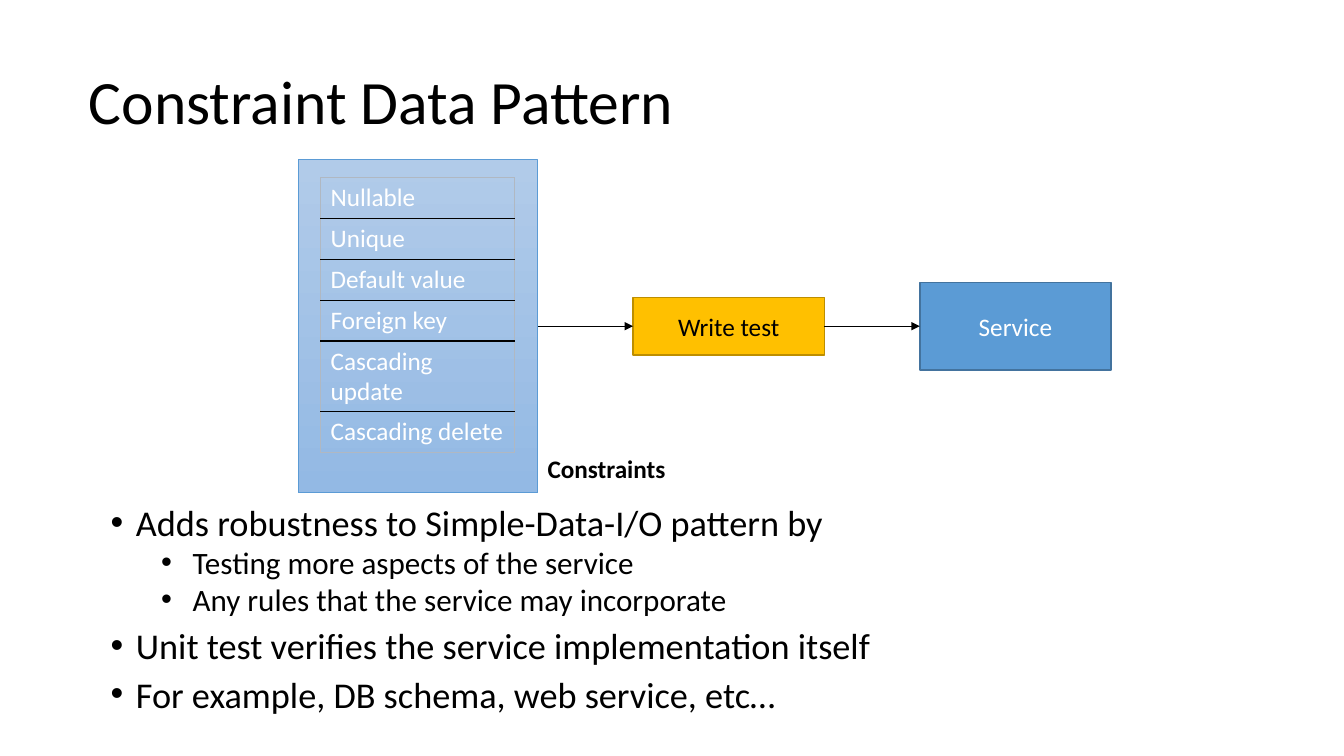
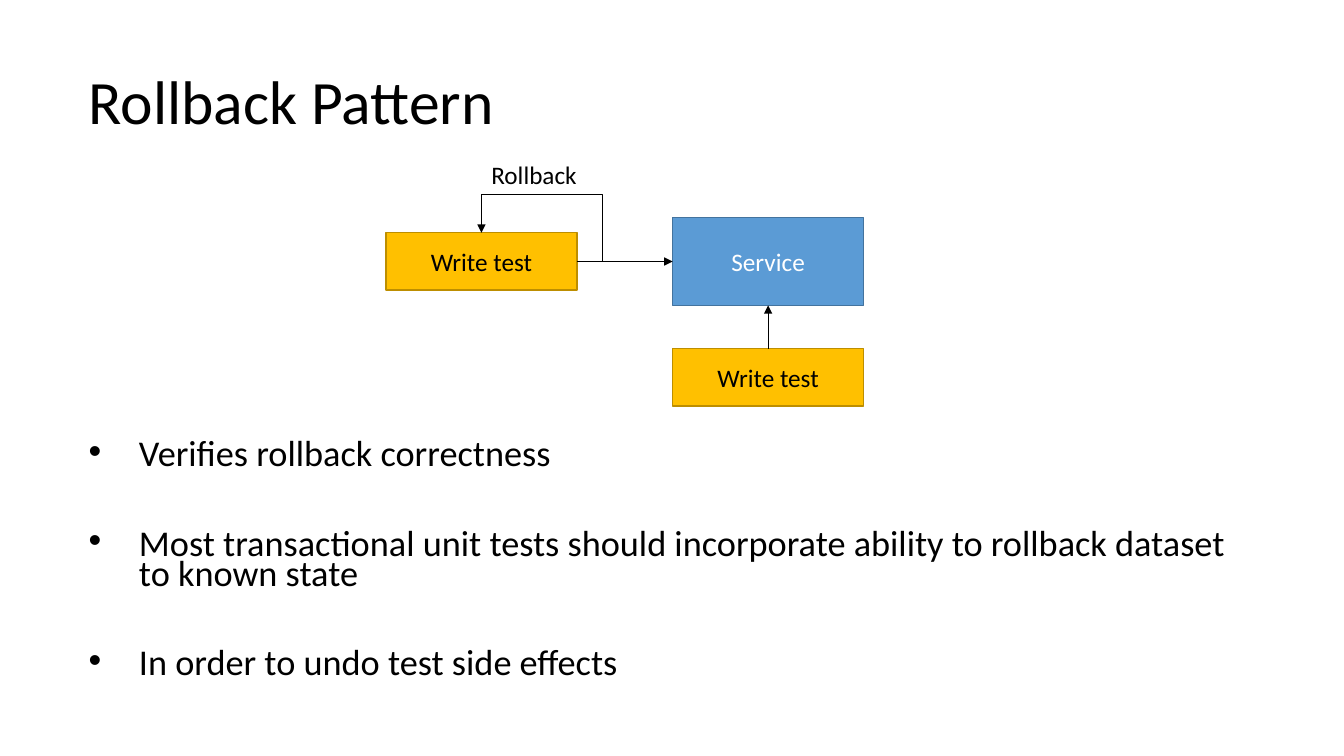
from lxml.etree import SubElement
from pptx import Presentation
from pptx.dml.color import RGBColor
from pptx.enum.shapes import MSO_CONNECTOR, MSO_SHAPE
from pptx.enum.text import MSO_ANCHOR, MSO_AUTO_SIZE, PP_ALIGN
from pptx.oxml.ns import qn
from pptx.util import Pt

BLACK = RGBColor(0x00, 0x00, 0x00)
WHITE = RGBColor(0xFF, 0xFF, 0xFF)
GOLD = RGBColor(0xFF, 0xC0, 0x00)
GOLD_EDGE = RGBColor(0xBD, 0x8E, 0x00)
BLUE = RGBColor(0x5B, 0x9B, 0xD5)
BLUE_EDGE = RGBColor(0x43, 0x73, 0x9E)
PANEL_TOP = RGBColor(0xB1, 0xCB, 0xE9)
PANEL_BOTTOM = RGBColor(0x93, 0xB9, 0xE4)
TABLE_EDGE = RGBColor(0xB0, 0xB8, 0xC2)
FONT = "Calibri"

# Diagram measures, in points
BOX_WIDTH, GAP = 136.6, 68.2
STEP = BOX_WIDTH + GAP
TEST_HEIGHT, SERVICE_HEIGHT = 41, 62.6
PANEL_LEFT, PANEL_Y, PANEL_WIDTH, PANEL_HEIGHT = 213, 114, 171, 238
PANEL_RIGHT = PANEL_LEFT + PANEL_WIDTH
FLOW_Y = PANEL_Y + PANEL_HEIGHT / 2
TEST_X = PANEL_RIGHT + GAP
SERVICE_X = TEST_X + STEP
ROLLBACK_X, ROLLBACK_Y = 275.6, 186.8
ROLLBACK_SERVICE_X = ROLLBACK_X + STEP
SECOND_TEST_Y = 269.6
ROLLBACK_MIDDLE = ROLLBACK_X + BOX_WIDTH / 2
SERVICE_MIDDLE = ROLLBACK_SERVICE_X + BOX_WIDTH / 2
TURN_X, TURN_Y = 430, 139

# Box styles: height, fill, edge, text colour
BOXES = {
    "Write test": (TEST_HEIGHT, GOLD, GOLD_EDGE, BLACK),
    "Service": (SERVICE_HEIGHT, BLUE, BLUE_EDGE, WHITE),
}

# Bullet levels: left indent, hanging indent, size, line spacing, space before
MAIN = (18, 18, 25.9, 0.8, 10)
SUB = (58.5, 22.5, 22.2, 0.8, 5)
SPACED = (36, 36, 25.9, 0.7, 42)

PAGES = [
    {
        "title": "Constraint Data Pattern",
        "body": (72, 360, 800.6, 164),
        "bullets": [
            ("Adds robustness to Simple-Data-I/O pattern by", MAIN),
            ("Testing more aspects of the service", SUB),
            ("Any rules that the service may incorporate", SUB),
            ("Unit test verifies the service implementation itself", MAIN),
            ("For example, DB schema, web service, etc…", MAIN),
        ],
        "label": ("Constraints", PANEL_RIGHT, 320.4, 99.4, True),
        "boxes": [("Write test", TEST_X, FLOW_Y), ("Service", SERVICE_X, FLOW_Y)],
        "arrows": [
            [(PANEL_RIGHT, FLOW_Y), (TEST_X, FLOW_Y)],
            [(TEST_X + BOX_WIDTH, FLOW_Y), (SERVICE_X, FLOW_Y)],
        ],
    },
    {
        "title": "Rollback Pattern",
        "body": (56.2, 312.5, 832.3, 183),
        "bullets": [
            ("Verifies rollback correctness", SPACED),
            ("Most transactional unit tests should incorporate ability to "
             "rollback dataset to known state", SPACED),
            ("In order to undo test side effects", SPACED),
        ],
        "label": ("Rollback", ROLLBACK_MIDDLE, 110.2, 76.3, False),
        "boxes": [
            ("Write test", ROLLBACK_X, ROLLBACK_Y),
            ("Service", ROLLBACK_SERVICE_X, ROLLBACK_Y),
            ("Write test", ROLLBACK_SERVICE_X, SECOND_TEST_Y),
        ],
        "arrows": [
            [(ROLLBACK_X + BOX_WIDTH, ROLLBACK_Y), (ROLLBACK_SERVICE_X, ROLLBACK_Y)],
            [(SERVICE_MIDDLE, SECOND_TEST_Y - TEST_HEIGHT / 2),
             (SERVICE_MIDDLE, ROLLBACK_Y + SERVICE_HEIGHT / 2)],
            [(ROLLBACK_X + BOX_WIDTH, ROLLBACK_Y), (TURN_X, ROLLBACK_Y),
             (TURN_X, TURN_Y), (ROLLBACK_MIDDLE, TURN_Y),
             (ROLLBACK_MIDDLE, ROLLBACK_Y - TEST_HEIGHT / 2)],
        ],
    },
]


def write(para, text, size=18, colour=BLACK, bold=False):
    para.text = text
    para.font.name = FONT
    para.font.size = Pt(size)
    para.font.bold = bold
    para.font.color.rgb = colour


def add_arrow(page, points):
    corners = [(Pt(x), Pt(y)) for x, y in points]
    if len(corners) == 2:
        arrow = page.shapes.add_connector(MSO_CONNECTOR.STRAIGHT, *corners[0], *corners[1])
    else:
        outline = page.shapes.build_freeform(*corners[0])
        outline.add_line_segments(corners[1:], close=False)
        arrow = outline.convert_to_shape()
        arrow.fill.background()
    arrow.line.color.rgb = BLACK
    arrow.line.width = Pt(0.5)
    properties = arrow.element.spPr
    SubElement(properties.find(qn("a:ln")), qn("a:tailEnd"), type="triangle")
    SubElement(properties, qn("a:effectLst"))


deck = Presentation()
deck.slide_width, deck.slide_height = Pt(960), Pt(540)

for content in PAGES:
    # Title
    page = deck.slides.add_slide(deck.slide_layouts[5])
    title = page.shapes.title
    title.left, title.top, title.width, title.height = Pt(56.2), Pt(43.2), Pt(832.3), Pt(62.6)
    title.text_frame.auto_size = MSO_AUTO_SIZE.NONE
    title.text_frame.vertical_anchor = MSO_ANCHOR.MIDDLE
    para = title.text_frame.paragraphs[0]
    para.alignment = PP_ALIGN.LEFT
    para.line_spacing = 0.9
    write(para, content["title"], 44)

    # Bulleted text
    body = page.shapes.add_textbox(*map(Pt, content["body"])).text_frame
    body.word_wrap = True
    for index, (text, level) in enumerate(content["bullets"]):
        left, hanging, size, spacing, before = level
        para = body.add_paragraph() if index else body.paragraphs[0]
        properties = para._p.get_or_add_pPr()
        properties.set("marL", str(Pt(left)))
        properties.set("indent", str(-Pt(hanging)))
        SubElement(properties, qn("a:buFont"), typeface="Arial")
        SubElement(properties, qn("a:buChar"), char="•")
        para.line_spacing = spacing
        para.space_before = Pt(before if index else 0)
        write(para, text, size)

    # Diagram label
    text, left, top, width, bold = content["label"]
    label = page.shapes.add_textbox(Pt(left), Pt(top), Pt(width), Pt(29)).text_frame
    label.word_wrap = False
    write(label.paragraphs[0], text, bold=bold)

    # Diagram boxes, centred on their flow line
    for text, left, middle in content["boxes"]:
        height, fill, edge, colour = BOXES[text]
        box = page.shapes.add_shape(MSO_SHAPE.RECTANGLE, Pt(left), Pt(middle - height / 2),
                                    Pt(BOX_WIDTH), Pt(height))
        box.shadow.inherit = False
        box.fill.solid()
        box.fill.fore_color.rgb = fill
        box.line.color.rgb = edge
        box.line.width = Pt(1)
        box.text_frame.vertical_anchor = MSO_ANCHOR.MIDDLE
        para = box.text_frame.paragraphs[0]
        para.alignment = PP_ALIGN.CENTER
        write(para, text, colour=colour)

    for points in content["arrows"]:
        add_arrow(page, points)

# Constraints panel on the first slide
page = deck.slides[0]
panel = page.shapes.add_shape(MSO_SHAPE.RECTANGLE, Pt(PANEL_LEFT), Pt(PANEL_Y),
                              Pt(PANEL_WIDTH), Pt(PANEL_HEIGHT))
panel.shadow.inherit = False
panel.fill.gradient()
panel.fill.gradient_angle = 270
for stop, colour in zip(panel.fill.gradient_stops, (PANEL_TOP, PANEL_BOTTOM)):
    stop.color.rgb = colour
panel.line.color.rgb = BLUE
panel.line.width = Pt(0.5)

# Constraints table, with black rules between its rows
constraints = ["Nullable", "Unique", "Default value", "Foreign key",
               "Cascading update", "Cascading delete"]
last = len(constraints) - 1
table = page.shapes.add_table(len(constraints), 1, Pt(229), Pt(126.8),
                              Pt(138.4), Pt(29.2 * len(constraints))).table
table.first_row = False
table.horz_banding = False
for index, text in enumerate(constraints):
    cell = table.cell(index, 0)
    edges = {
        "a:lnL": TABLE_EDGE,
        "a:lnR": TABLE_EDGE,
        "a:lnT": BLACK if index else TABLE_EDGE,
        "a:lnB": BLACK if index < last else TABLE_EDGE,
    }
    for side, colour in edges.items():
        width = Pt(1) if colour == BLACK else Pt(0.5)
        line = SubElement(cell._tc.get_or_add_tcPr(), qn(side), w=str(width))
        SubElement(SubElement(line, qn("a:solidFill")), qn("a:srgbClr"), val=str(colour))
    cell.fill.background()
    write(cell.text_frame.paragraphs[0], text, colour=WHITE)

deck.save("out.pptx")
